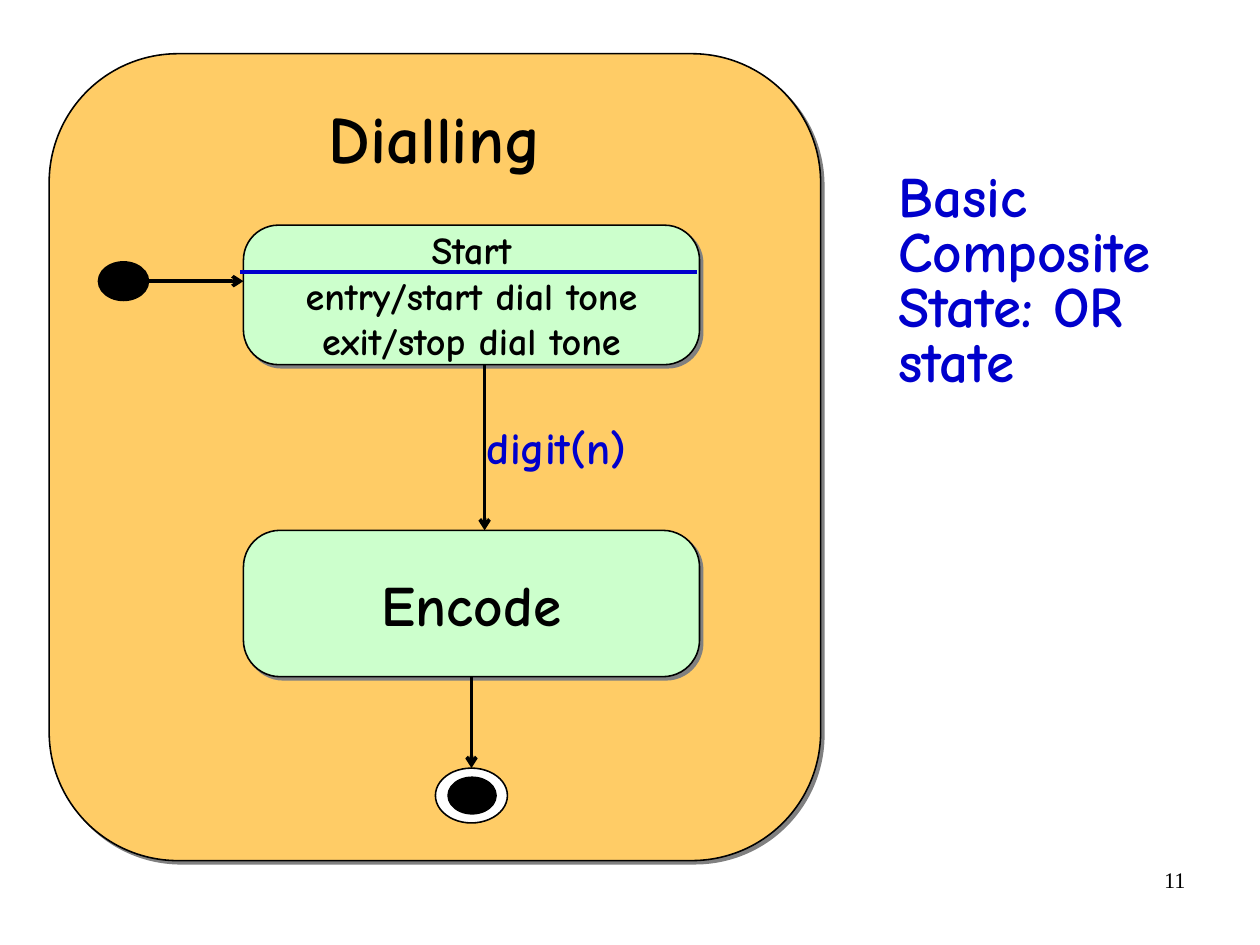
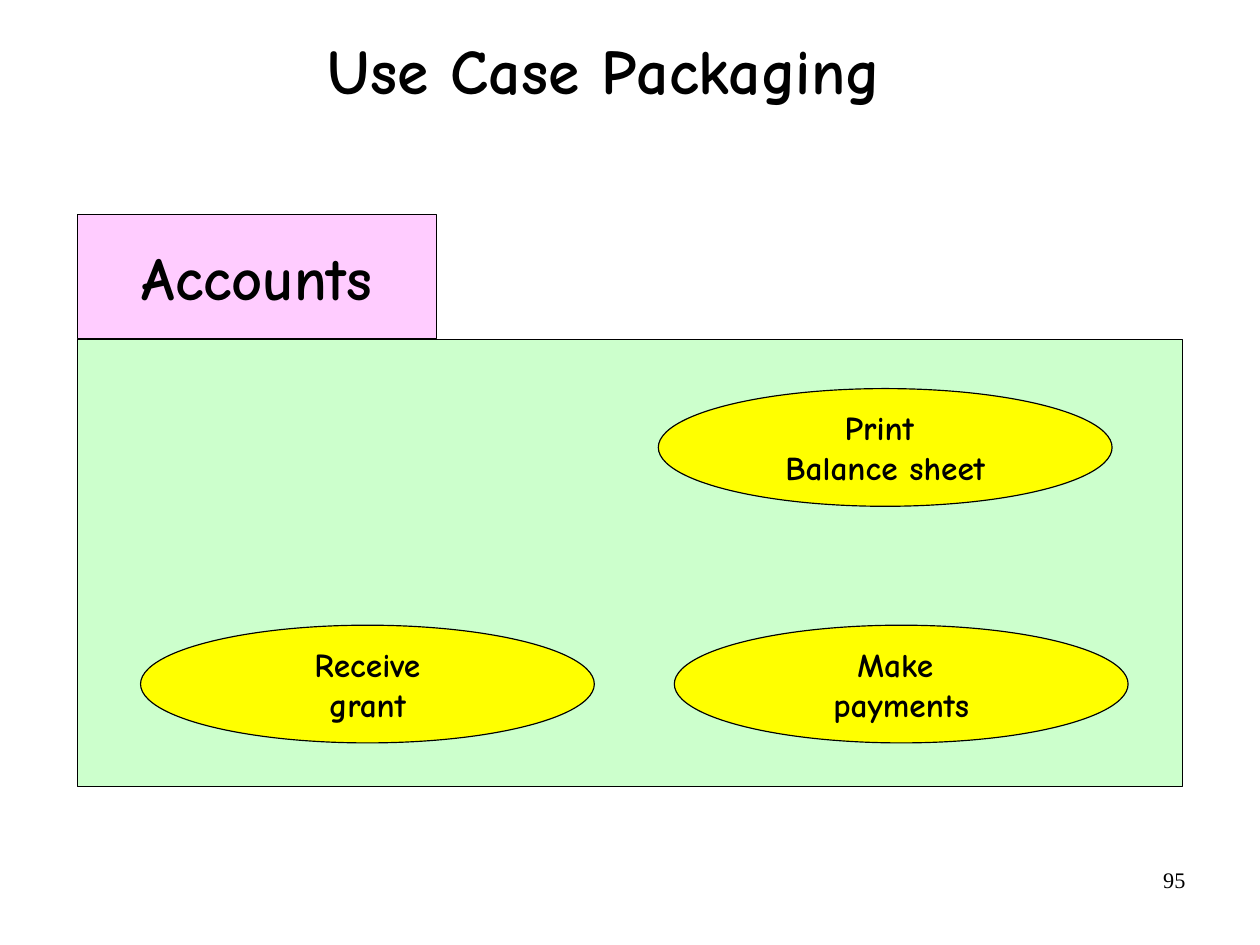
from lxml import etree
from pptx import Presentation
from pptx.dml.color import RGBColor
from pptx.enum.shapes import MSO_CONNECTOR, MSO_SHAPE
from pptx.enum.text import MSO_ANCHOR, PP_ALIGN
from pptx.oxml.ns import qn
from pptx.util import Inches, Pt

BLACK = RGBColor(0x00, 0x00, 0x00)
WHITE = RGBColor(0xFF, 0xFF, 0xFF)
BLUE = RGBColor(0x00, 0x00, 0xCC)
ORANGE = RGBColor(0xFF, 0xCC, 0x66)
GREEN = RGBColor(0xCC, 0xFF, 0xCC)
PINK = RGBColor(0xFF, 0xCC, 0xFF)
YELLOW = RGBColor(0xFF, 0xFF, 0x00)
GREY = RGBColor(0x80, 0x80, 0x80)

RECTANGLE = MSO_SHAPE.RECTANGLE
ROUNDED = MSO_SHAPE.ROUNDED_RECTANGLE
OVAL = MSO_SHAPE.OVAL
STRAIGHT = MSO_CONNECTOR.STRAIGHT
TOP, MIDDLE = MSO_ANCHOR.TOP, MSO_ANCHOR.MIDDLE
LEFT, CENTER, RIGHT = PP_ALIGN.LEFT, PP_ALIGN.CENTER, PP_ALIGN.RIGHT

BODY_FONT = "Comic Neue"
NUMBER_FONT = "Times New Roman"
TOP_SIDE, BOTTOM_SIDE = 0, 2
CM_PER_INCH = 2.54


def write(shape, text, size=24, font=BODY_FONT, color=BLACK, bold=True,
          align=CENTER, anchor=MIDDLE, wrap=False, spacing=1.0):
    frame = shape.text_frame
    frame.word_wrap = wrap
    frame.vertical_anchor = anchor
    frame.text = text
    for para in frame.paragraphs:
        para.alignment = align
        para.line_spacing = spacing
        for span in para.runs:
            span.font.name = font
            span.font.size = Pt(size)
            span.font.bold = bold
            span.font.color.rgb = color


class Deck:
    def __init__(self):
        self.presentation = Presentation()
        self.presentation.slide_width = Inches(28 / CM_PER_INCH)
        self.presentation.slide_height = Inches(21 / CM_PER_INCH)
        self.page = None

    def new_page(self, number):
        layout = self.presentation.slide_layouts[6]
        self.page = self.presentation.slides.add_slide(layout)
        self.text(7.9, 7.53, 2.57, 0.57, str(number), size=14, font=NUMBER_FONT,
                  bold=False, align=RIGHT, anchor=TOP, wrap=True)

    def text(self, left, top, width, height, text, **style):
        box = self.page.shapes.add_textbox(
            Inches(left), Inches(top), Inches(width), Inches(height))
        write(box, text, **style)
        return box

    def title(self, text):
        self.text(0.7, -0.05, 9.37, 1.37, text, size=40, wrap=True, spacing=0.94)

    def shape(self, kind, left, top, width, height, fill, line=0.75,
              text=None, **style):
        shape = self.page.shapes.add_shape(
            kind, Inches(left), Inches(top), Inches(width), Inches(height))
        shape.shadow.inherit = False
        shape.fill.solid()
        shape.fill.fore_color.rgb = fill
        shape.line.color.rgb = BLACK
        shape.line.width = Pt(line)
        if text:
            write(shape, text, **style)
        return shape

    def state(self, left, top, width, height, fill, text, corner=0.25, **style):
        state = self.shape(ROUNDED, left, top, width, height, fill, 1, text, **style)
        state.adjustments[0] = corner
        effects = state.element.spPr.find(qn("a:effectLst"))
        shadow = etree.SubElement(effects, qn("a:outerShdw"), dist=str(Pt(2.8)),
                                  dir="2700000", algn="ctr", rotWithShape="0")
        etree.SubElement(shadow, qn("a:srgbClr"), val=str(GREY))
        return state

    def line(self, x1, y1, x2, y2, color=BLACK, arrow=True):
        line = self.page.shapes.add_connector(
            STRAIGHT, Inches(x1), Inches(y1), Inches(x2), Inches(y2))
        line.line.color.rgb = color
        line.line.width = Pt(2.25)
        if arrow:
            outline = line.element.spPr.find(qn("a:ln"))
            etree.SubElement(outline, qn("a:tailEnd"), type="arrow")
        etree.SubElement(line.element.spPr, qn("a:effectLst"))
        return line

    def use_case(self, left, top, text):
        self.shape(OVAL, left, top, 3.97, 1.03, YELLOW, text=text, size=21)

    def save(self):
        self.presentation.save("out.pptx")


def composite_state(deck):
    deck.new_page(11)
    deck.state(0.43, 0.47, 6.75, 7.06, ORANGE, "Dialling", corner=0.167,
               size=42, anchor=TOP)
    deck.state(2.13, 1.97, 3.99, 1.22, GREEN,
               "Start\nentry/start dial tone\nexit/stop dial tone")
    encode = deck.state(2.13, 4.64, 3.99, 1.28, GREEN, "Encode", size=36)
    deck.shape(OVAL, 0.87, 2.3, 0.42, 0.32, BLACK, 2.25)
    deck.line(1.29, 2.46, 2.13, 2.46)
    deck.line(4.24, 3.19, 4.24, 4.64)
    final = deck.shape(OVAL, 3.81, 6.72, 0.63, 0.48, WHITE, 1)
    deck.shape(OVAL, 3.92, 6.8, 0.42, 0.32, BLACK, 1)
    finish = deck.line(4.13, 5.92, 4.13, 6.72)
    finish.begin_connect(encode, BOTTOM_SIDE)
    finish.end_connect(final, TOP_SIDE)
    deck.line(2.1, 2.38, 6.1, 2.38, color=BLUE, arrow=False)
    deck.text(4.09, 3.72, 1.56, 0.49, "digit(n)", size=28, color=BLUE,
              anchor=TOP, spacing=0.8)
    deck.text(7.76, 1.47, 3, 2.05, "Basic Composite State: OR state", size=36,
              color=BLUE, align=LEFT, anchor=TOP, wrap=True, spacing=0.8)


def use_case_packaging(deck):
    deck.new_page(95)
    deck.title("Use Case Packaging ")
    deck.shape(RECTANGLE, 0.68, 2.97, 9.67, 3.91, GREEN)
    deck.use_case(1.23, 5.47, "Receive\ngrant")
    deck.use_case(5.76, 3.4, "Print \nBalance sheet")
    deck.use_case(5.9, 5.47, "Make \npayments")
    deck.shape(RECTANGLE, 0.68, 1.88, 3.14, 1.08, PINK, text="Accounts", size=38)


def main():
    deck = Deck()
    composite_state(deck)
    use_case_packaging(deck)
    deck.save()


if __name__ == "__main__":
    main()
